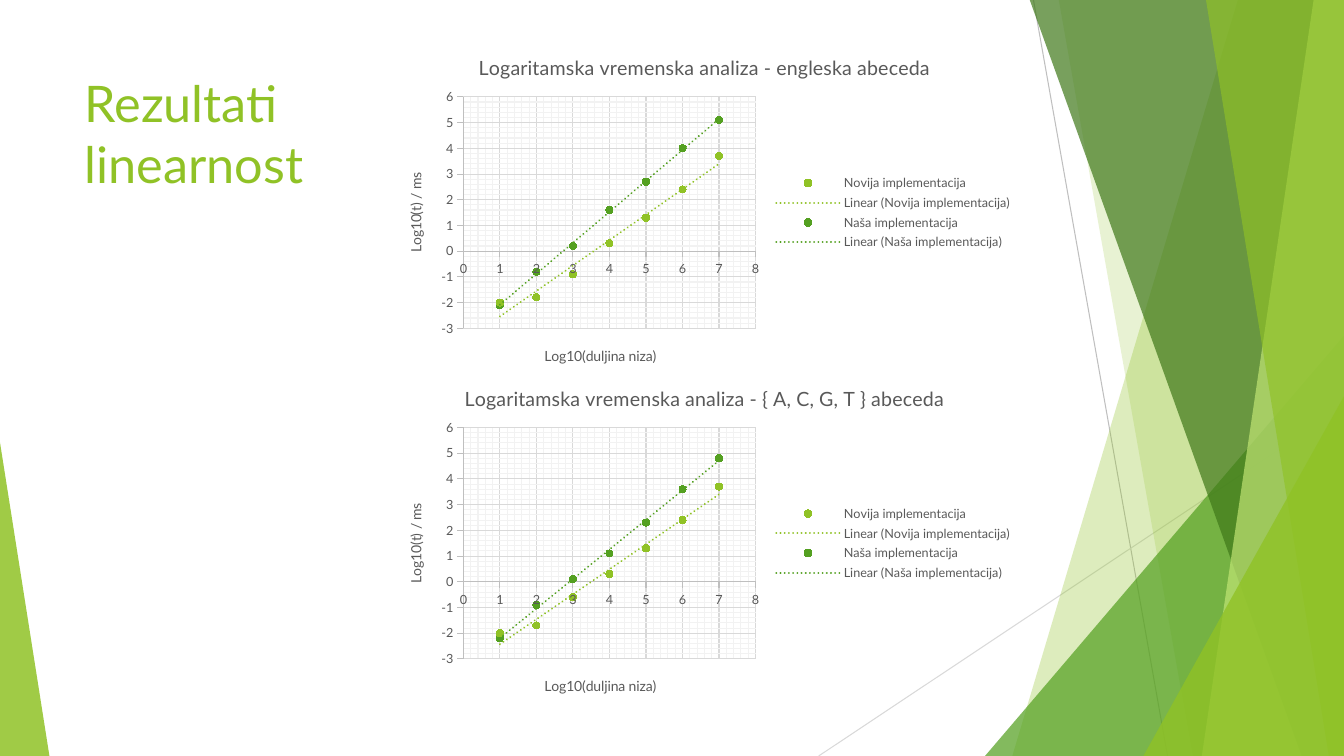
from lxml.etree import SubElement as Sub
from pptx import Presentation
from pptx.chart.data import XyChartData
from pptx.dml.color import RGBColor as RGB
from pptx.enum.chart import XL_CHART_TYPE as Kind, XL_LEGEND_POSITION as Spot
from pptx.enum.chart import XL_MARKER_STYLE as Mark, XL_TICK_MARK as Tick
from pptx.enum.shapes import MSO_CONNECTOR as Conn, MSO_SHAPE as Form
from pptx.oxml import parse_xml
from pptx.oxml.ns import nsdecls, qn
from pptx.util import Inches, Pt

LIME, GREEN, GRAY = "90C226", "54A021", "595959"


def paint(fill, color, alpha=100):
    fill.solid()
    fill.fore_color.rgb = RGB.from_string(color)
    if alpha < 100:
        tone = fill._xPr.find(".//" + qn("a:srgbClr"))
        Sub(tone, qn("a:alpha"), val=str(alpha * 1000))


def write(frame, text, size=10, color=GRAY):
    para = frame.paragraphs[0]
    para.text = text
    para.font.bold = False
    for font in [para.font] + [run.font for run in para.runs]:
        font.name, font.size = "Lato", Pt(size)
        paint(font.fill, color)


deck = Presentation()
deck.slide_width, deck.slide_height = Inches(13.33), Inches(7.5)
slide = deck.slides.add_slide(deck.slide_layouts[6])
shapes = slide.shapes

# Thin lines behind the facets
for ends, color in [((10.25, 0, 11.58, 7.5), "BFBFBF"),
                    ((13.33, 4.03, 8.12, 7.5), "D9D9D9")]:
    line = shapes.add_connector(Conn.STRAIGHT, *map(Inches, ends))
    line.line.width = Pt(0.75)
    paint(line.line.fill, color)
    Sub(line._element.spPr, qn("a:effectLst"))

# Facets: a band gives top left and bottom left x, a triangle its box and tip
facets = [
    ("band", (12.28, 10.04), LIME, 30),
    ("band", (10.5, 11.83), LIME, 20),
    ("tri", (9.77, 3.33, 3.56, 4.17, 1), GREEN, 72),
    ("band", (10.21, 12.91), "3F7819", 70),
    ("band", (13.03, 11.92), "C0E474", 70),
    ("band", (11.96, 13.18), LIME, 65),
    ("tri", (11.34, 3.93, 1.99, 3.57, 1), LIME, 80),
    ("tri", (0, 4.39, 0.49, 3.11, 0), LIME, 85),
]
for kind, dims, color, alpha in facets:
    if kind == "band":
        top, foot = map(Inches, dims)
        edge, high, low = Inches(13.33), Inches(-0.01), Inches(7.5)
        pen = shapes.build_freeform(top, high)
        pen.add_line_segments([(edge, high), (edge, low), (foot, low)], close=True)
        facet = pen.convert_to_shape()
    else:
        facet = shapes.add_shape(Form.ISOSCELES_TRIANGLE, *map(Inches, dims[:4]))
        facet.adjustments[0] = dims[4]
    facet.shadow.inherit = False
    facet.line.fill.background()
    paint(facet.fill, color, alpha)

# Title
title = shapes.add_textbox(Inches(0.74), Inches(0.67), Inches(9.4), Inches(1.44))
title.text_frame.word_wrap = True
write(title.text_frame, "Rezultati\vlinearnost", size=36, color=LIME)

# Charts
names = [("Novija implementacija", LIME), ("Naša implementacija", GREEN)]
charts = [
    (0.37, "engleska abeceda", [[-2, -1.8, -0.9, 0.3, 1.3, 2.4, 3.7],
                                [-2.1, -0.8, 0.2, 1.6, 2.7, 4, 5.1]]),
    (3.65, "{ A, C, G, T } abeceda", [[-2, -1.7, -0.6, 0.3, 1.3, 2.4, 3.7],
                                      [-2.2, -0.9, 0.1, 1.1, 2.3, 3.6, 4.8]]),
]
for top, topic, rows in charts:
    data = XyChartData()
    for (name, _), row in zip(names, rows):
        part = data.add_series(name)
        for x, y in enumerate(row, 1):
            part.add_data_point(x, y)
    chart = shapes.add_chart(Kind.XY_SCATTER, Inches(3.84), Inches(top),
                             Inches(6.3), Inches(3.48), data).chart
    chart.font.name, chart.font.size = "Lato", Pt(10)
    chart.has_title = True
    write(chart.chart_title.text_frame,
          "Logaritamska vremenska analiza - " + topic, size=14)
    chart.chart_title.include_in_layout = False

    # Legend
    chart.has_legend = True
    legend = chart.legend
    legend.position, legend.include_in_layout = Spot.RIGHT, False
    legend.font.name, legend.font.size = "Lato", Pt(9)
    paint(legend.font.fill, GRAY)

    # Axes and grids
    for axis, label, low, high in [
            (chart.category_axis, "Log10(duljina niza)", 0, 8),
            (chart.value_axis, "Log10(t) / ms", -3, 6)]:
        axis.minimum_scale, axis.maximum_scale = low, high
        axis.major_unit, axis.minor_unit = 1, 0.2
        axis.major_tick_mark, axis.minor_tick_mark = Tick.OUTSIDE, Tick.NONE
        axis.has_major_gridlines = axis.has_minor_gridlines = True
        grid = axis.major_gridlines.format.line
        for line, color in [(axis.format.line, "BFBFBF"), (grid, "D9D9D9")]:
            line.width = Pt(0.75)
            paint(line.fill, color)
        axis._element.find(qn("c:minorGridlines")).append(parse_xml(
            f'<c:spPr {nsdecls("c", "a")}><a:ln w="9525"><a:solidFill>'
            '<a:srgbClr val="F2F2F2"/></a:solidFill></a:ln></c:spPr>'))
        font = axis.tick_labels.font
        font.name, font.size = "Lato", Pt(9)
        paint(font.fill, GRAY)
        axis.has_title = True
        write(axis.axis_title.text_frame, label)

    # Dots and trend lines
    plot = chart.plots[0]
    plot.vary_by_categories = False
    for dots, (name, color) in zip(plot.series, names):
        dots.smooth = False
        dots.format.line.fill.background()
        dots.marker.style, dots.marker.size = Mark.CIRCLE, 5
        paint(dots.marker.format.fill, color)
        paint(dots.marker.format.line.fill, color)
        dots._element.find(qn("c:xVal")).addprevious(parse_xml(
            f'<c:trendline {nsdecls("c", "a")}><c:name>Linear ({name})</c:name>'
            '<c:spPr><a:ln w="19050" cap="rnd"><a:solidFill>'
            f'<a:srgbClr val="{color}"/></a:solidFill><a:prstDash val="sysDot"/>'
            '</a:ln></c:spPr><c:trendlineType val="linear"/>'
            '<c:dispRSqr val="0"/><c:dispEq val="0"/></c:trendline>'))

    # Place of the plot within the chart
    area = chart._chartSpace.chart.plotArea
    for old in area.findall(qn("c:layout")):
        area.remove(old)
    area.insert(0, parse_xml(
        f'<c:layout {nsdecls("c")}><c:manualLayout><c:layoutTarget val="inner"/>'
        '<c:xMode val="edge"/><c:yMode val="edge"/><c:x val="0.12"/>'
        '<c:y val="0.17"/><c:w val="0.46"/><c:h val="0.66"/>'
        '</c:manualLayout></c:layout>'))

deck.save("out.pptx")
